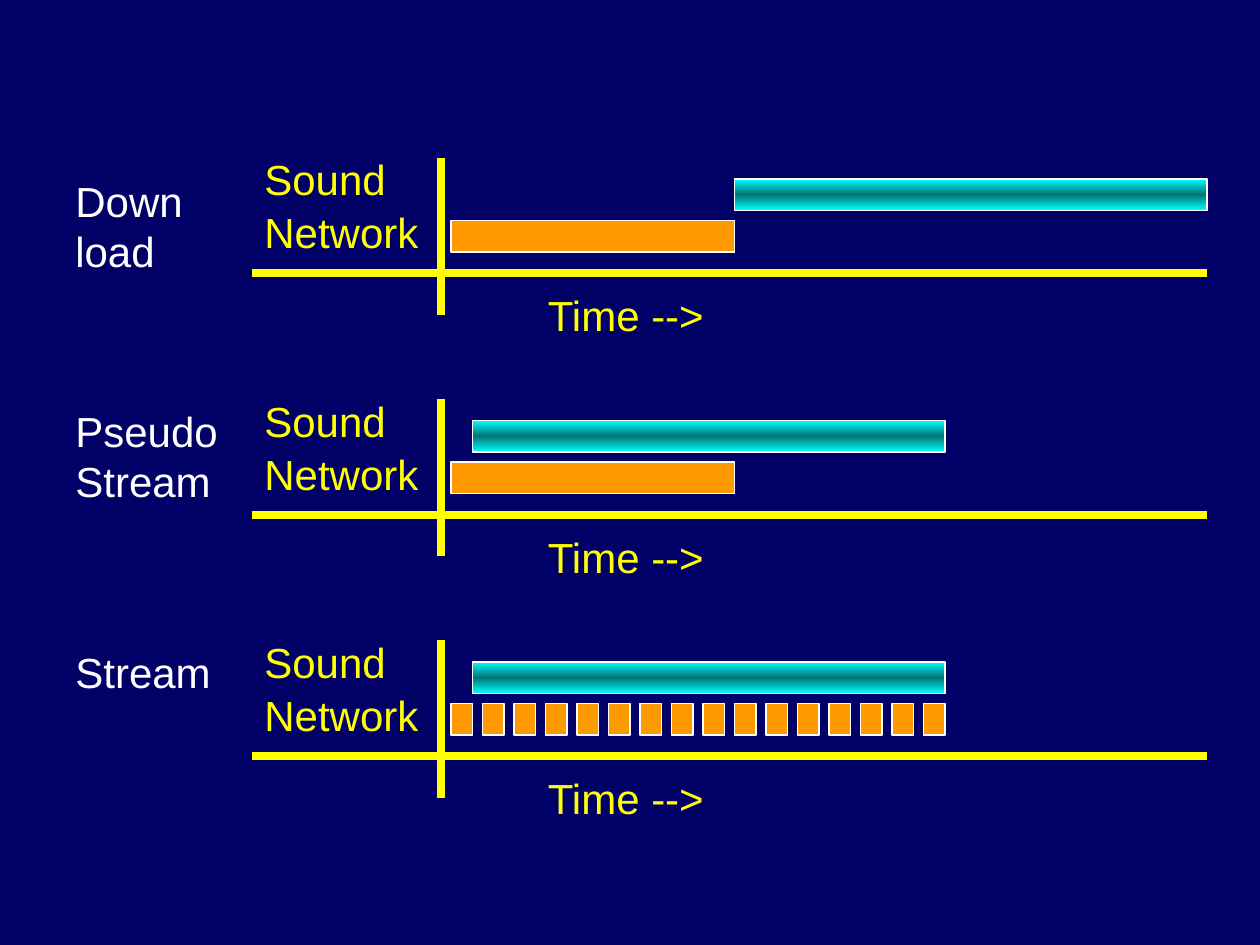
from copy import deepcopy

from pptx import Presentation
from pptx.dml.color import RGBColor
from pptx.enum.shapes import MSO_CONNECTOR, MSO_SHAPE
from pptx.enum.text import MSO_AUTO_SIZE
from pptx.oxml.ns import qn
from pptx.oxml.xmlchemy import OxmlElement
from pptx.util import Inches, Pt

NAVY = RGBColor(0x00, 0x00, 0x66)
YELLOW = RGBColor(0xFF, 0xFF, 0x00)
WHITE = RGBColor(0xFF, 0xFF, 0xFF)
ORANGE = RGBColor(0xFF, 0x99, 0x00)
CYAN = RGBColor(0x00, 0xFF, 0xFF)
TEAL = RGBColor(0x00, 0x75, 0x75)

FIRST_TOP = 1.25
TIMELINE_PITCH = 23 / 12
NETWORK_START = 3.58
BAR_HEIGHT = 0.25

# Name, name offset, name size, sound start, network segments (start, width)
TIMELINES = [
    ("Down\vload", 0.09, (1.07, 0.9), 5.83, [(NETWORK_START, 2.25)]),
    ("Pseudo\nStream", 0, (1.35, 0.9), 3.75, [(NETWORK_START, 2.25)]),
    ("Stream", 0, (1.29, 0.5), 3.75,
     [(NETWORK_START + 0.25 * i, 0.17) for i in range(16)]),
]


def add_label(shapes, text, left, top, width, height, color):
    label = shapes.add_textbox(Inches(left), Inches(top), Inches(width), Inches(height))
    frame = label.text_frame
    frame.word_wrap = False
    frame.auto_size = MSO_AUTO_SIZE.SHAPE_TO_FIT_TEXT
    frame.text = text
    for paragraph in frame.paragraphs:
        paragraph.font.name = "Arial"
        paragraph.font.size = Pt(24)
        paragraph.font.color.rgb = color


def add_axis(shapes, x1, y1, x2, y2):
    axis = shapes.add_connector(
        MSO_CONNECTOR.STRAIGHT, Inches(x1), Inches(y1), Inches(x2), Inches(y2))
    axis.line.color.rgb = YELLOW
    axis.line.width = Pt(4.5)
    axis._element.spPr.append(OxmlElement("a:effectLst"))


def add_bar(shapes, left, top, width):
    bar = shapes.add_shape(
        MSO_SHAPE.RECTANGLE, Inches(left), Inches(top), Inches(width), Inches(BAR_HEIGHT))
    bar.shadow.inherit = False
    bar.line.color.rgb = WHITE
    bar.line.width = Pt(0.75)
    return bar


def add_network_bar(shapes, left, top, width):
    bar = add_bar(shapes, left, top, width)
    bar.fill.solid()
    bar.fill.fore_color.rgb = ORANGE


def add_sound_bar(shapes, left, top):
    bar = add_bar(shapes, left, top, 3.75)
    bar.fill.gradient()
    bar.fill.gradient_angle = 270
    # The default gradient has two stops; add a third
    stop_list = bar._element.spPr.find(qn("a:gradFill")).find(qn("a:gsLst"))
    stop_list.append(deepcopy(stop_list[0]))
    stops = zip(bar.fill.gradient_stops, (0, 0.5, 1), (CYAN, TEAL, CYAN))
    for stop, position, color in stops:
        stop.position = position
        stop.color.rgb = color


def add_timeline(slide, top, sound_start, network_segments):
    shapes = slide.shapes.add_group_shape().shapes
    # Axes
    add_axis(shapes, 2, top + 0.92, 9.58, top + 0.92)
    add_axis(shapes, 3.5, top, 3.5, top + 1.25)
    # Axis labels
    add_label(shapes, "Time -->", 4.25, top + 1, 1.47, 0.5, YELLOW)
    add_label(shapes, "Network", 2, top + 0.34, 1.44, 0.5, YELLOW)
    add_label(shapes, "Sound", 2, top - 0.08, 1.18, 0.5, YELLOW)
    # Activity bars
    for start, width in network_segments:
        add_network_bar(shapes, start, top + 0.5, width)
    add_sound_bar(shapes, sound_start, top + 0.17)


def main():
    presentation = Presentation()
    presentation.slide_width = Inches(10)
    presentation.slide_height = Inches(7.5)
    slide = presentation.slides.add_slide(presentation.slide_layouts[6])
    slide.background.fill.solid()
    slide.background.fill.fore_color.rgb = NAVY

    for row, (name, offset, size, sound_start, segments) in enumerate(TIMELINES):
        top = FIRST_TOP + row * TIMELINE_PITCH
        add_timeline(slide, top, sound_start, segments)
        add_label(slide.shapes, name, 0.5, top + offset, *size, WHITE)

    presentation.save("out.pptx")


if __name__ == "__main__":
    main()
